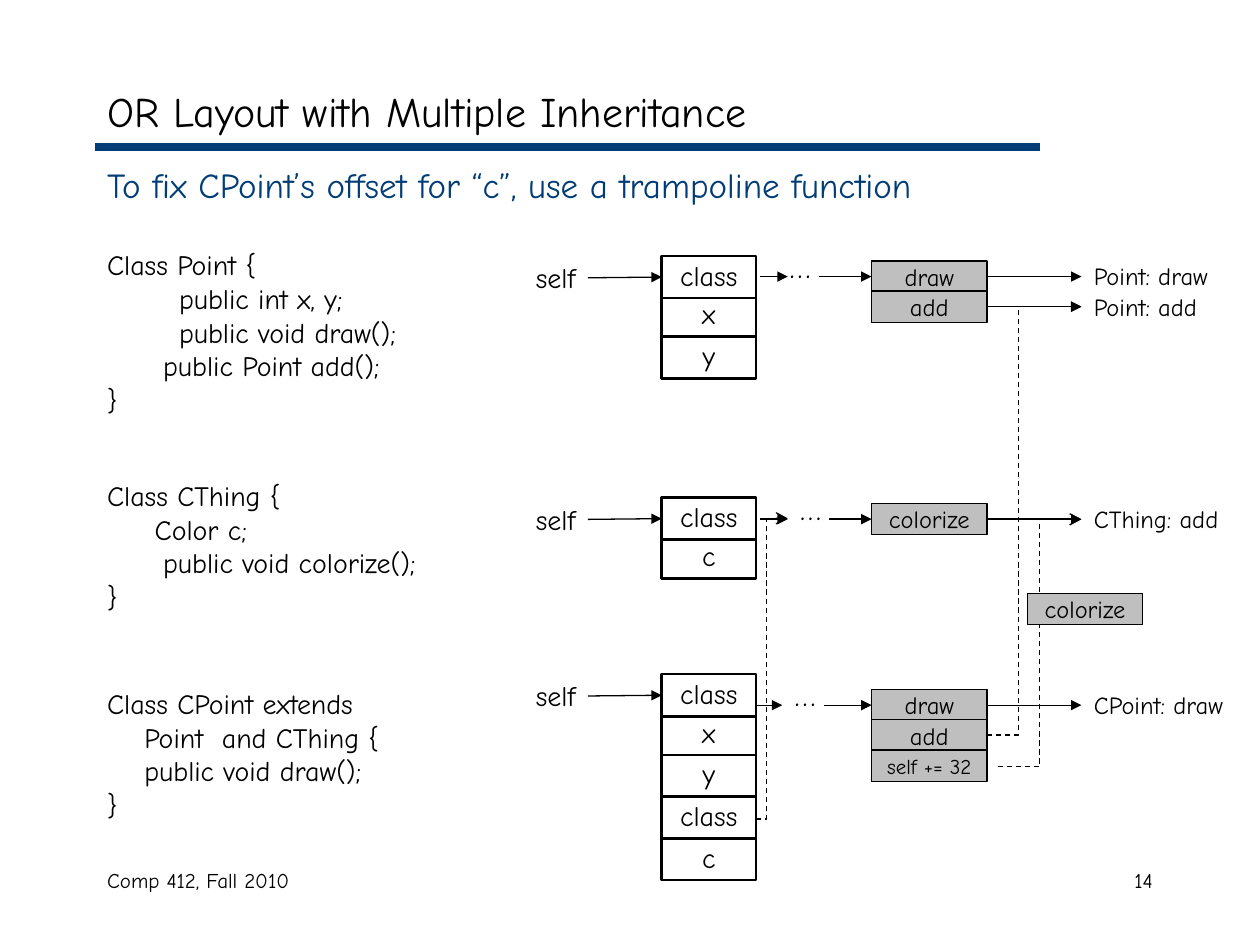
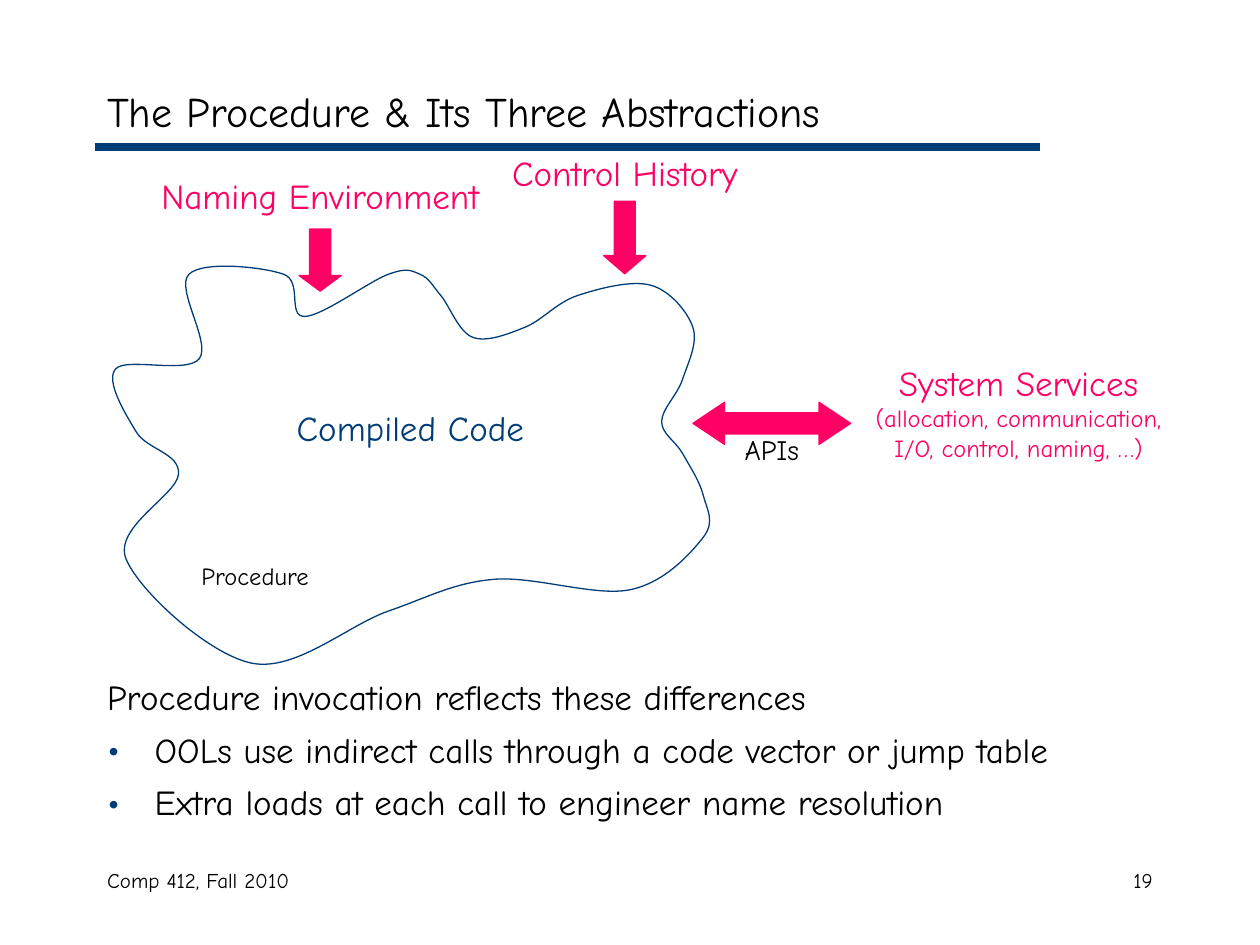
from lxml import etree
from pptx import Presentation
from pptx.dml.color import RGBColor
from pptx.enum.dml import MSO_LINE
from pptx.enum.shapes import MSO_CONNECTOR, MSO_SHAPE
from pptx.enum.text import MSO_ANCHOR, PP_ALIGN
from pptx.oxml.ns import qn
from pptx.util import Cm, Pt

LEFT, CENTER, RIGHT = PP_ALIGN.LEFT, PP_ALIGN.CENTER, PP_ALIGN.RIGHT
TOP, MIDDLE, BOTTOM = MSO_ANCHOR.TOP, MSO_ANCHOR.MIDDLE, MSO_ANCHOR.BOTTOM
STRAIGHT, ELBOW = MSO_CONNECTOR.STRAIGHT, MSO_CONNECTOR.ELBOW
RECTANGLE = MSO_SHAPE.RECTANGLE
DOWN_ARROW, TWO_WAY_ARROW = MSO_SHAPE.DOWN_ARROW, MSO_SHAPE.LEFT_RIGHT_ARROW
DASH = MSO_LINE.DASH
LEFT_SIDE, RIGHT_SIDE = 1, 3

FONT = "Comic Neue"
BLACK, WHITE, GRAY, NAVY, PINK = "000000", "FFFFFF", "BFBFBF", "003C75", "FF0065"

MARGIN, CONTENT_WIDTH = 1.91, 21.59
HANGING = 0.96
SELF_X, SELF_WIDTH = 10.16, 1.69
RECORD_X, RECORD_WIDTH, FIELD_HEIGHT = 13.34, 1.9, 0.85
METHOD_X, METHOD_WIDTH, METHOD_HEIGHT, METHOD_STEP = 17.57, 2.33, 0.63, 0.61
TARGET_X = 21.8

# Each class is (space before, lines); each line is (indent, text).
CLASSES = [
    (24, [(0, "Class Point {"), (1.45, "public int x, y;"),
          (1.45, "public void draw();"), (1.13, "public Point add();"), (0, "}")]),
    (36, [(0, "Class CThing {"), (HANGING, "Color c;"),
          (1.13, "public void colorize();"), (0, "}")]),
    (42, [(0, "Class CPoint extends"), (0.75, "Point  and CThing {"),
          (0.75, "public void draw();"), (0, "}")])]

PROCEDURE_OUTLINE = [
    (2.75, 8.71), (2.33, 7.44), (4.02, 7.23), (3.81, 5.53), (5.72, 5.53),
    (6.14, 6.38), (7.83, 5.53), (8.47, 5.53), (8.89, 5.96), (9.53, 6.8),
    (10.58, 6.6), (11.64, 5.96), (13.12, 5.75), (13.97, 6.6), (13.76, 7.65),
    (13.34, 8.5), (13.76, 9.14), (14.18, 9.99), (14.18, 10.83), (12.7, 11.89),
    (9.95, 11.68), (7.83, 12.32), (5.08, 13.37), (2.54, 11.26), (3.6, 9.56)]


def color(hex_value):
    return RGBColor.from_string(hex_value)


def style_paragraph(paragraph, size, hex_value, align=LEFT):
    paragraph.alignment = align
    paragraph.font.name = FONT
    paragraph.font.size = Pt(size)
    paragraph.font.color.rgb = color(hex_value)


def add_text(slide, text, box, size, hex_value=BLACK, align=LEFT, anchor=TOP):
    shape = slide.shapes.add_textbox(*map(Cm, box))
    frame = shape.text_frame
    frame.word_wrap = True
    frame.vertical_anchor = anchor
    frame.text = text
    style_paragraph(frame.paragraphs[0], size, hex_value, align)
    return shape


def add_paragraph(shape, text, size, hex_value=BLACK, align=LEFT):
    paragraph = shape.text_frame.add_paragraph()
    paragraph.text = text
    style_paragraph(paragraph, size, hex_value, align)
    return paragraph


def add_bullet(shape, text, size):
    paragraph = shape.text_frame.add_paragraph()
    paragraph.text = text
    properties = paragraph._p.get_or_add_pPr()
    properties.set("marL", str(Cm(HANGING)))
    properties.set("indent", str(-Cm(HANGING)))
    bullet_color = etree.SubElement(properties, qn("a:buClr"))
    etree.SubElement(bullet_color, qn("a:srgbClr"), val=NAVY)
    etree.SubElement(properties, qn("a:buSzPct"), val="120000")
    etree.SubElement(properties, qn("a:buFont"), typeface=FONT)
    etree.SubElement(properties, qn("a:buChar"), char="•")
    paragraph.space_before = Pt(6)
    style_paragraph(paragraph, size, BLACK)


def add_preset(slide, preset, box, fill, line, line_width=0.75):
    shape = slide.shapes.add_shape(preset, *map(Cm, box))
    shape.shadow.inherit = False
    shape.fill.solid()
    shape.fill.fore_color.rgb = color(fill)
    shape.line.color.rgb = color(line)
    shape.line.width = Pt(line_width)
    return shape


def add_block_arrow(slide, preset, box, head):
    shape = add_preset(slide, preset, box, PINK, PINK)
    shape.adjustments[0] = 0.5
    shape.adjustments[1] = head


def add_field(slide, name, top):
    box = (RECORD_X, top, RECORD_WIDTH, FIELD_HEIGHT)
    shape = add_preset(slide, RECTANGLE, box, WHITE, BLACK, 1.5)
    shape.text_frame.text = name
    shape.text_frame.vertical_anchor = BOTTOM
    style_paragraph(shape.text_frame.paragraphs[0], 16, BLACK, CENTER)
    return shape


def add_method(slide, name, left, top, size=14):
    box = (left, top, METHOD_WIDTH, METHOD_HEIGHT)
    shape = add_preset(slide, RECTANGLE, box, GRAY, BLACK)
    frame = shape.text_frame
    frame.margin_left = frame.margin_right = frame.margin_top = frame.margin_bottom = 0
    frame.vertical_anchor = MIDDLE
    frame.text = name
    style_paragraph(frame.paragraphs[0], size, BLACK, CENTER)
    return shape


def add_line(slide, begin, end, kind=STRAIGHT, hex_value=BLACK, width=0.75, head=None):
    """Each end is an (x, y) point or a (shape, side) pair to join."""
    joined = [not isinstance(place[0], (int, float)) for place in (begin, end)]
    points = [(0, 0) if is_joined else place
              for is_joined, place in zip(joined, (begin, end))]
    line = slide.shapes.add_connector(kind, *(Cm(value) for point in points for value in point))
    if joined[0]:
        line.begin_connect(*begin)
    if joined[1]:
        line.end_connect(*end)
    line.line.color.rgb = color(hex_value)
    line.line.width = Pt(width)
    if head:
        etree.SubElement(line.line._get_or_add_ln(), qn("a:tailEnd"), type=head)
    etree.SubElement(line._element.spPr, qn("a:effectLst"))
    return line


def add_arrow(slide, begin, end):
    return add_line(slide, begin, end, head="triangle")


def add_dashed_elbow(slide, begin, end, bend, head):
    """Bend is the share of the width at which the line turns."""
    line = add_line(slide, begin, end, ELBOW, head=head)
    line.line.dash_style = DASH
    guides = line._element.spPr.find(qn("a:prstGeom")).get_or_add_avLst()
    etree.SubElement(guides, qn("a:gd"), name="adj1", fmla=f"val {round(bend * 100000)}")


def add_smooth_outline(slide, knots):
    """Closed curve through the knots, one Bezier segment between each two."""
    points = []
    for i, p1 in enumerate(knots):
        p0, p2, p3 = (knots[(i + k) % len(knots)] for k in (-1, 1, 2))
        points.append([b + (c - a) / 6 for a, b, c in zip(p0, p1, p2)])
        points.append([c - (d - b) / 6 for b, c, d in zip(p1, p2, p3)])
        points.append(p2)
    builder = slide.shapes.build_freeform(*map(Cm, knots[0]))
    builder.add_line_segments([tuple(map(Cm, point)) for point in points], close=True)
    shape = builder.convert_to_shape()
    segments = list(shape._element.iter(qn("a:lnTo")))
    for i in range(0, len(points), 3):
        curve = etree.Element(qn("a:cubicBezTo"))
        segments[i].addprevious(curve)
        for segment in segments[i:i + 3]:
            curve.append(segment[0])
    for segment in segments:
        segment.getparent().remove(segment)
    shape.shadow.inherit = False
    shape.fill.background()
    shape.line.color.rgb = color(NAVY)
    shape.line.width = Pt(0.75)


def add_code(shape, space_before, lines):
    for i, (indent, text) in enumerate(lines):
        paragraph = add_paragraph(shape, text, 16)
        paragraph._p.get_or_add_pPr().set("marL", str(Cm(indent)))
        if i == 0:
            paragraph.space_before = Pt(space_before)


def add_record(slide, fields, top):
    """Draw the self pointer and the object record it refers to."""
    tops = [top] + [top + 0.78 + 0.84 * i for i in range(len(fields) - 1)]
    for name, field_top in reversed(list(zip(fields, tops))):
        header = add_field(slide, name, field_top)
    label = add_text(slide, "self", (SELF_X, top - 0.03, SELF_WIDTH, 0.94), 16, align=RIGHT)
    add_arrow(slide, (label, RIGHT_SIDE), (header, LEFT_SIDE))


def add_method_table(slide, methods, top, ellipsis_x, link_start, link_end=None):
    """Draw the link from a record to its methods, and the code they point to."""
    middle = top + METHOD_HEIGHT / 2
    ellipsis = add_text(slide, "…", (ellipsis_x, middle - 0.78, 0.84, 1.56), 18, anchor=MIDDLE)
    ellipsis.text_frame.margin_bottom = Cm(0.57)
    end = (link_end, middle) if link_end else (ellipsis, LEFT_SIDE)
    add_arrow(slide, (link_start, middle), end)
    for i, (name, target, size) in enumerate(methods):
        row_top = top + i * METHOD_STEP
        row = add_method(slide, name, METHOD_X, row_top, size)
        if i == 0:
            add_arrow(slide, (ellipsis, RIGHT_SIDE), (row, LEFT_SIDE))
        if target:
            box = (TARGET_X, row_top + METHOD_HEIGHT / 2 - 0.43, 3.39, 0.86)
            label = add_text(slide, target, box, 14)
            add_arrow(slide, (row, RIGHT_SIDE), (label, LEFT_SIDE))


def add_base_slide(presentation, title, number):
    slide = presentation.slides.add_slide(presentation.slide_layouts[6])
    add_line(slide, (MARGIN, 2.97), (20.96, 2.97), hex_value=NAVY, width=4.5)
    add_text(slide, title, (MARGIN, 1.49, CONTENT_WIDTH, 1.48), 24, anchor=MIDDLE)
    add_text(slide, "Comp 412, Fall 2010", (MARGIN, 17.36, 8.05, 1.27), 12)
    add_text(slide, number, (18.2, 17.36, 5.29, 1.27), 12, align=RIGHT)
    return slide


def build_inheritance_slide(presentation):
    slide = add_base_slide(presentation, "OR Layout with Multiple Inheritance", "14")
    body = add_text(slide, "To fix CPoint’s offset for “c”, use a trampoline function",
                    (MARGIN, 3.18, CONTENT_WIDTH, 13.84), 20, NAVY)
    for space_before, lines in CLASSES:
        add_code(body, space_before, lines)

    add_record(slide, ["class", "x", "y"], 5.16)
    add_record(slide, ["class", "c"], 10.03)
    add_record(slide, ["class", "x", "y", "class", "c"], 13.59)

    add_method_table(slide, [("draw", "Point: draw", 14), ("add", "Point: add", 14)],
                     5.26, 15.67, 15.32, 15.88)
    add_method_table(slide, [("colorize", "CThing: add", 14)], 10.15, 15.88, 15.32)
    add_method_table(slide, [("draw", "CPoint: draw", 14), ("add", None, 14),
                             ("self += 32", None, 12)], 13.9, 15.77, 15.24)

    add_dashed_elbow(slide, (19.9, 14.82), (TARGET_X, 6.18), 0.33, "triangle")
    add_dashed_elbow(slide, (20.11, 15.46), (TARGET_X, 10.47), 0.5, "arrow")
    add_dashed_elbow(slide, (15.24, 16.51), (15.88, 10.45), 0.33, "arrow")
    add_method(slide, "colorize", 20.71, 11.96)


def build_procedure_slide(presentation):
    slide = add_base_slide(presentation, "The Procedure & Its Three Abstractions", "19")
    add_smooth_outline(slide, PROCEDURE_OUTLINE)
    add_text(slide, "Compiled Code", (5.52, 8.08, 5.51, 1.09), 20, NAVY, CENTER)
    add_text(slide, "Procedure", (3.81, 11.18, 4.24, 0.84), 14)

    add_text(slide, "Naming Environment", (2.33, 3.4, 8.26, 1.09), 20, PINK, CENTER)
    add_block_arrow(slide, DOWN_ARROW, (6.03, 4.62, 0.85, 1.25), 0.37)
    add_text(slide, "Control History", (8.47, 2.92, 8.26, 1.09), 20, PINK, CENTER)
    add_block_arrow(slide, DOWN_ARROW, (12.17, 4.06, 0.85, 1.46), 0.43)
    services = add_text(slide, "System Services", (17.04, 7.16, 6.99, 2.29), 20, PINK, CENTER)
    add_paragraph(services, "(allocation, communication, I/O, control, naming, …)",
                  14, PINK, CENTER)
    add_block_arrow(slide, TWO_WAY_ARROW, (13.97, 8.11, 3.18, 0.85), 0.75)
    add_text(slide, "APIs", (14.29, 8.59, 2.54, 0.94), 16, align=CENTER)

    summary = add_text(slide, "Procedure invocation reflects these differences",
                       (MARGIN, 13.5, CONTENT_WIDTH, 3.4), 20)
    add_bullet(summary, "OOLs use indirect calls through a code vector or jump table", 20)
    add_bullet(summary, "Extra loads at each call to engineer name resolution", 20)


def main():
    presentation = Presentation()
    presentation.slide_width = Cm(25.4)
    presentation.slide_height = Cm(19.05)
    build_inheritance_slide(presentation)
    build_procedure_slide(presentation)
    presentation.save("out.pptx")


if __name__ == "__main__":
    main()
